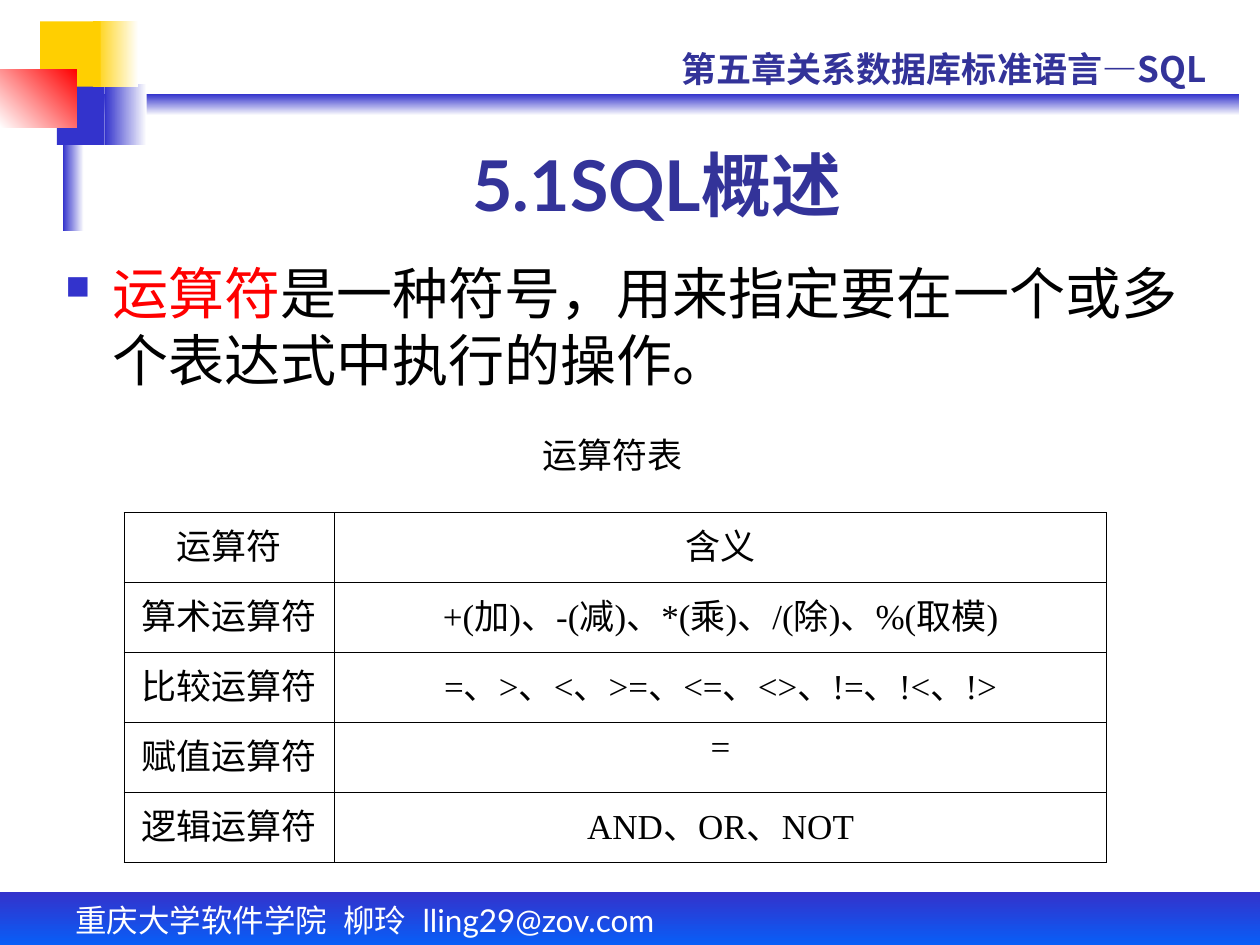
from itertools import groupby
from lxml.etree import SubElement
from pptx import Presentation
from pptx.dml.color import RGBColor
from pptx.enum.shapes import MSO_SHAPE
from pptx.enum.text import MSO_ANCHOR, PP_ALIGN
from pptx.oxml.ns import qn
from pptx.util import Cm, Pt

SANS = "Noto Sans CJK SC"
SERIF = "Times New Roman"


def color(value):
    return RGBColor.from_string(value)


def add_span(para, text, size, font, ink, bold=False):
    span = para.add_run()
    span.text = text
    span.font.size = Pt(size)
    span.font.bold = bold
    span.font.color.rgb = color(ink)
    span.font.name = font
    SubElement(span.font._element, qn("a:ea"), typeface=font)


deck = Presentation()
deck.slide_width = Cm(25.4)
deck.slide_height = Cm(19.05)
page = deck.slides.add_slide(deck.slide_layouts[6])

decorations = [
    (1.48, 1.9, 23.5, 0.43, "3333CC", "FFFFFF", 90),
    (2.11, 1.7, 0.85, 1.22, "FFFFFF", "3333CC", 180),
    (0, 17.99, 25.4, 1.27, "3333CC", "0066FF", 90),
    (1.27, 1.48, 0.42, 3.18, "FFFFFF", "3333CC", 180),
    (1.15, 1.7, 0.96, 1.22, "3333CC", None, None),
    (1.88, 0.43, 0.91, 1.32, "FFFFFF", "FFCF01", 180),
    (0.81, 0.43, 1.22, 1.32, "FFCF01", None, None),
    (0, 1.4, 1.55, 1.17, "FF0000", "FFFFFF", 135),
]
for left, top, width, height, start, end, angle in decorations:
    block = page.shapes.add_shape(
        MSO_SHAPE.RECTANGLE, Cm(left), Cm(top), Cm(width), Cm(height))
    block.shadow.inherit = False
    block.line.fill.background()
    if end:
        block.fill.gradient()
        block.fill.gradient_angle = 360 - angle
        for stop, shade in zip(block.fill.gradient_stops, (start, end)):
            stop.color.rgb = color(shade)
    else:
        block.fill.solid()
        block.fill.fore_color.rgb = color(start)

LEFT, CENTER = PP_ALIGN.LEFT, PP_ALIGN.CENTER
TOP, MIDDLE, BOTTOM = MSO_ANCHOR.TOP, MSO_ANCHOR.MIDDLE, MSO_ANCHOR.BOTTOM
texts = [
    (1.27, 18.03, 14.17, 1.02, TOP, LEFT, 11.2,
     [("重庆大学软件学院  柳玲  lling29@zov.com", 18, "Lato", "FFFFFF")]),
    (13.49, 0.84, 11.48, 1.27, TOP, LEFT, 15,
     [("第五章关系数据库标准语言—SQL", 20, SANS, "333399", True)]),
    (3.18, 2.97, 20.12, 1.7, BOTTOM, CENTER, 0,
     [("5.1SQL概述", 40, "Lato", "333399", True)]),
    (10.69, 8.61, 7.8, 1.12, MIDDLE, LEFT, 0,
     [("运算符表", 20, SANS, "000000")]),
    (1.07, 5.08, 23.29, 12.5, TOP, LEFT, 8,
     [("运算符", 32, "Lato", "FF0000"),
      ("是一种符号，用来指定要在一个或多个表达式中执行的操作。", 32, "Lato", "000000")]),
]
for left, top, width, height, anchor, align, before, spans in texts:
    box = page.shapes.add_textbox(Cm(left), Cm(top), Cm(width), Cm(height))
    box.text_frame.word_wrap = True
    box.text_frame.vertical_anchor = anchor
    para = box.text_frame.paragraphs[0]
    para.alignment = align
    para.space_before = Pt(before)
    for span in spans:
        add_span(para, *span)

properties = para._p.get_or_add_pPr()
properties.set("marL", str(Cm(0.95)))
properties.set("indent", str(Cm(-0.95)))
bullet_color = SubElement(properties, qn("a:buClr"))
SubElement(bullet_color, qn("a:srgbClr"), val="3333CC")
SubElement(properties, qn("a:buSzPct"), val="60000")
SubElement(properties, qn("a:buChar"), char="■")

rows = [
    ("运算符", "含义"),
    ("算术运算符", "+(加)、-(减)、*(乘)、/(除)、%(取模)"),
    ("比较运算符", "=、>、<、>=、<=、<>、!=、!<、!>"),
    ("赋值运算符", "="),
    ("逻辑运算符", "AND、OR、NOT"),
]
frame = page.shapes.add_table(
    len(rows), 2, Cm(2.5), Cm(10.33), Cm(19.81), Cm(7.05))
table = frame.table
table.first_row = False
table.horz_banding = False
for column, width in zip(table.columns, (4.24, 15.57)):
    column.width = Cm(width)
for row, labels in zip(table.rows, rows):
    row.height = Cm(1.41)
    for cell, label in zip(row.cells, labels):
        para = cell.text_frame.paragraphs[0]
        para.alignment = CENTER
        for latin, letters in groupby(label, str.isascii):
            add_span(para, "".join(letters), 20, SERIF if latin else SANS, "000000")
        cell_properties = cell._tc.get_or_add_tcPr()
        for side in ("a:lnL", "a:lnR", "a:lnT", "a:lnB"):
            border = SubElement(cell_properties, qn(side), w=str(Pt(0.45)))
            paint = SubElement(border, qn("a:solidFill"))
            SubElement(paint, qn("a:srgbClr"), val="000000")
        cell.fill.background()

deck.save("out.pptx")
